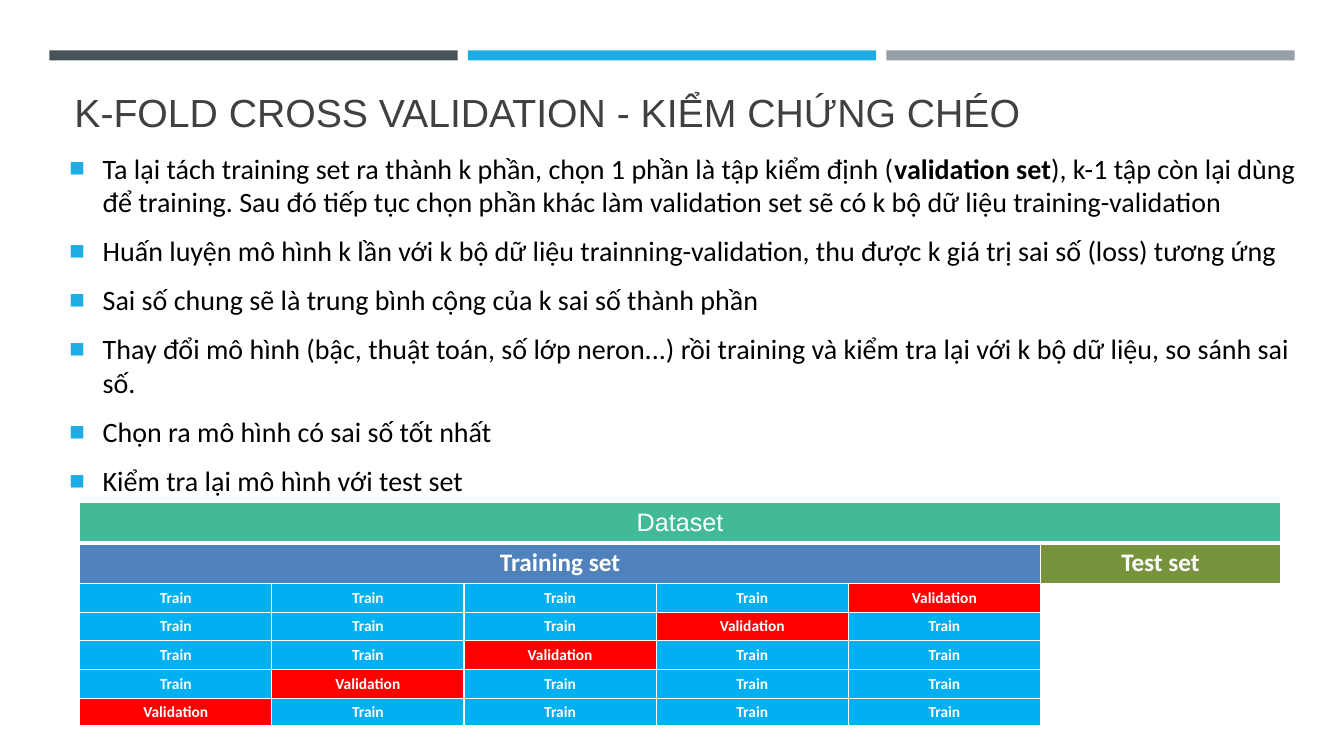
"""Build the slide that explains k-fold cross validation."""
from lxml import etree
from pptx import Presentation
from pptx import util as u
from pptx.dml.color import RGBColor
from pptx.enum import shapes, text
from pptx.oxml import ns

WHITE, BLACK, ACCENT = "FFFFFF", "000000", "1CADE4"
THIN, THICK = 0.96, 3
FOLDS = 5
TABLE_LEFT, TABLE_TOP, FOLD_WIDTH = 0.79, 4.98, 1.906
SET_HEIGHT, FOLD_HEIGHT = 0.405, 0.284
TRAINING_WIDTH, TEST_WIDTH = FOLDS * FOLD_WIDTH, 2.38

BULLETS = [
    [("Ta lại tách training set ra thành k phần, chọn 1 phần là tập kiểm định (", False),
     ("validation set", True),
     ("), k-1 tập còn lại dùng để training. Sau đó tiếp tục chọn phần khác làm "
      "validation set sẽ có k bộ dữ liệu training-validation", False)],
    [("Huấn luyện mô hình k lần với k bộ dữ liệu trainning-validation, "
      "thu được k giá trị sai số (loss) tương ứng", False)],
    [("Sai số chung sẽ là trung bình cộng của k sai số thành phần", False)],
    [("Thay đổi mô hình (bậc, thuật toán, số lớp neron...) rồi training và "
      "kiểm tra lại với k bộ dữ liệu, so sánh sai số.", False)],
    [("Chọn ra mô hình có sai số tốt nhất", False)],
    [("Kiểm tra lại mô hình với test set", False)],
]


def color(value):
    """Turn a hex string into a colour."""
    return RGBColor.from_string(value)


def add_run(paragraph, words, size, font, fill, bold=False):
    """Append one formatted run to a paragraph."""
    run = paragraph.add_run()
    run.text = words
    run.font.size = u.Pt(size)
    run.font.name = font
    run.font.bold = bold
    run.font.color.rgb = color(fill)


def add_bar(slide, column, fill):
    """Draw one bar of the three-column header strip."""
    left = 0.49 + column * 4.15
    bar = slide.shapes.add_shape(
        shapes.MSO_SHAPE.RECTANGLE,
        u.Inches(left), u.Inches(0.5), u.Inches(4.05), u.Inches(0.1))
    bar.shadow.inherit = False
    bar.fill.solid()
    bar.fill.fore_color.rgb = color(fill)
    bar.line.fill.background()


def add_frame(slide, box, anchor):
    """Add a wrapping text box and return its text frame."""
    frame = slide.shapes.add_textbox(*map(u.Inches, box)).text_frame
    frame.word_wrap = True
    frame.vertical_anchor = anchor
    return frame


def set_bullet(paragraph):
    """Give a paragraph a hanging square bullet."""
    properties = paragraph._p.get_or_add_pPr()
    properties.set("marL", str(u.Inches(0.33)))
    properties.set("indent", str(-u.Inches(0.33)))
    bullet_color = etree.SubElement(properties, ns.qn("a:buClr"))
    etree.SubElement(bullet_color, ns.qn("a:srgbClr"), val=ACCENT)
    etree.SubElement(properties, ns.qn("a:buSzPct"), val="92000")
    etree.SubElement(properties, ns.qn("a:buFont"), typeface="Arial")
    etree.SubElement(properties, ns.qn("a:buChar"), char="■")


def add_bullets(slide, box, items):
    """Add the bulleted body text."""
    frame = add_frame(slide, box, text.MSO_ANCHOR.MIDDLE)
    for index, runs in enumerate(items):
        paragraph = frame.add_paragraph() if index else frame.paragraphs[0]
        set_bullet(paragraph)
        paragraph.space_before = u.Pt(5 if index else 0)
        paragraph.space_after = u.Pt(6)
        for words, bold in runs:
            add_run(paragraph, words, 20, "Calibri", BLACK, bold)


def set_borders(cell, top, bottom):
    """Draw white borders around a cell."""
    properties = cell._tc.get_or_add_tcPr()
    for side, width in zip("LRTB", (THIN, THIN, top, bottom)):
        line = etree.SubElement(properties, ns.qn(f"a:ln{side}"), w=str(u.Pt(width)))
        fill = etree.SubElement(line, ns.qn("a:solidFill"))
        etree.SubElement(fill, ns.qn("a:srgbClr"), val=WHITE)


def add_grid(slide, top, widths, row_count, row_height):
    """Add an unbanded table with the given columns and equal rows."""
    table = slide.shapes.add_table(
        row_count, len(widths), u.Inches(TABLE_LEFT), u.Inches(top),
        u.Inches(sum(widths)), u.Inches(row_count * row_height)).table
    table.first_row = table.horz_banding = False
    for column, width in zip(table.columns, widths):
        column.width = u.Inches(width)
    for row in table.rows:
        row.height = u.Inches(row_height)
    return table


def fill_cell(cell, words, fill, size, font="Calibri", bold=True):
    """Colour a cell and centre its label."""
    cell.fill.solid()
    cell.fill.fore_color.rgb = color(fill)
    cell.margin_top = cell.margin_bottom = u.Inches(0.03)
    cell.vertical_anchor = text.MSO_ANCHOR.MIDDLE
    paragraph = cell.text_frame.paragraphs[0]
    paragraph.alignment = text.PP_ALIGN.CENTER
    add_run(paragraph, words, size, font, WHITE, bold)


def add_set_table(slide):
    """Add the table that splits the dataset into training and test sets."""
    table = add_grid(slide, TABLE_TOP, (TRAINING_WIDTH, TEST_WIDTH), 2, SET_HEIGHT)
    for column in range(2):
        set_borders(table.cell(0, column), THIN, THICK)
        set_borders(table.cell(1, column), THICK, THIN)
    table.cell(0, 0).merge(table.cell(0, 1))
    fill_cell(table.cell(0, 0), "Dataset", "42BA97", 18, "Arial", False)
    fill_cell(table.cell(1, 0), "Training set", "4F81BD", 18)
    fill_cell(table.cell(1, 1), "Test set", "77933C", 18)


def add_fold_table(slide):
    """Add the fold table, with validation on the rising diagonal."""
    top = TABLE_TOP + 2 * SET_HEIGHT
    table = add_grid(slide, top, [FOLD_WIDTH] * FOLDS, FOLDS, FOLD_HEIGHT)
    last = FOLDS - 1
    for row in range(FOLDS):
        for column in range(FOLDS):
            cell = table.cell(row, column)
            set_borders(cell, THIN, THICK if row == last else THIN)
            if row + column == last:
                fill_cell(cell, "Validation", "FF0000", 11)
            else:
                fill_cell(cell, "Train", "00B0F0", 11)


def main():
    """Build and save the presentation."""
    presentation = Presentation()
    presentation.slide_width = u.Inches(13.33)
    presentation.slide_height = u.Inches(7.5)
    slide = presentation.slides.add_slide(presentation.slide_layouts[6])
    for column, fill in enumerate(("465359", ACCENT, "969FA7")):
        add_bar(slide, column, fill)
    title = add_frame(slide, (0.64, 0.09, 12.06, 1.3), text.MSO_ANCHOR.BOTTOM)
    add_run(title.paragraphs[0], "K-FOLD CROSS VALIDATION - KIỂM CHỨNG CHÉO",
            28, "Arial", "404040")
    add_bullets(slide, (0.59, 1.58, 12.48, 3.27), BULLETS)
    add_set_table(slide)
    add_fold_table(slide)
    presentation.save("out.pptx")


if __name__ == "__main__":
    main()
